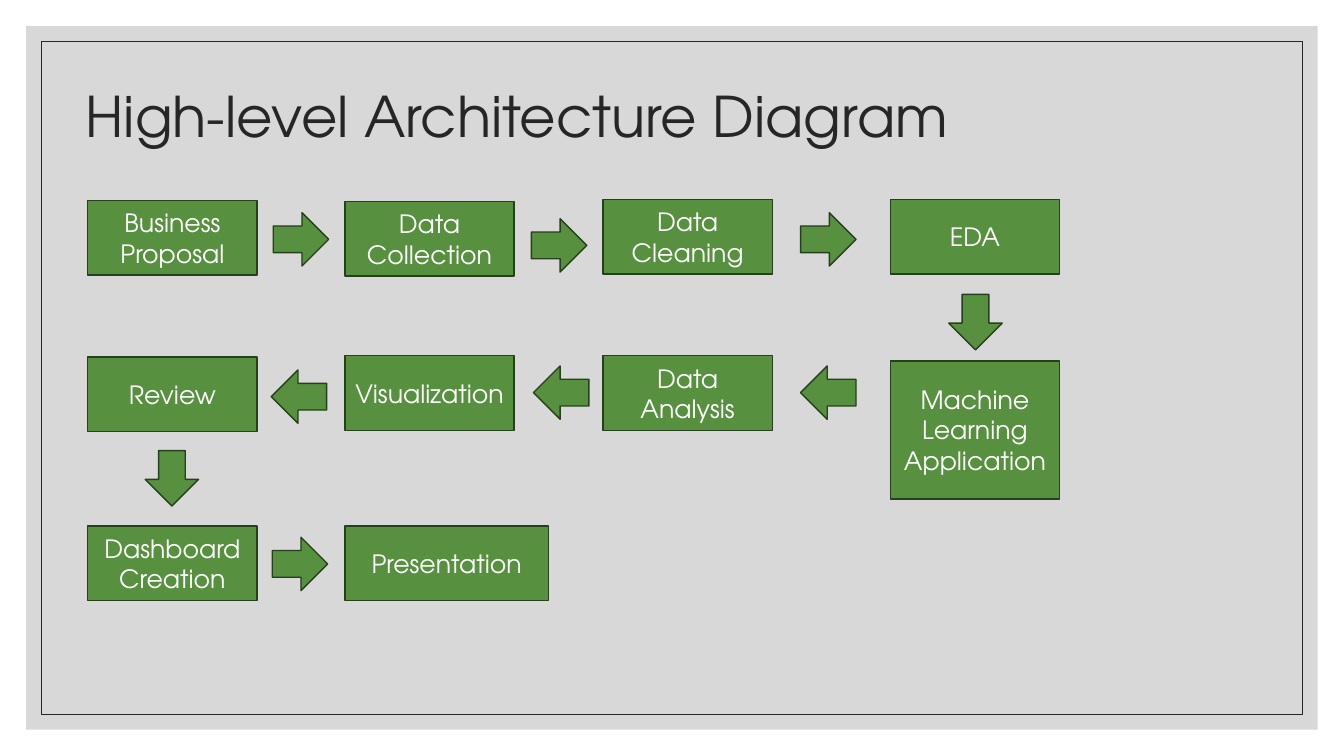
import pptx
import pptx.util
import pptx.dml.color
import pptx.enum.shapes
import pptx.enum.text
import pptx.oxml.ns
import lxml.etree

RGBColor = pptx.dml.color.RGBColor
Inches = pptx.util.Inches
Pt = pptx.util.Pt
PRESET = pptx.enum.shapes.MSO_SHAPE

PANEL_GRAY = RGBColor(0xBF, 0xBF, 0xBF)
INK = RGBColor(0x26, 0x26, 0x26)
GREEN = RGBColor(0x57, 0x90, 0x3F)
DARK_GREEN = RGBColor(0x26, 0x3F, 0x1C)
WHITE = RGBColor(0xFF, 0xFF, 0xFF)
FONT = "TeX Gyre Adventor"

SLIDE_WIDTH, SLIDE_HEIGHT = 13.33, 7.5
COLUMNS = (0, 2.55, 5.11, 7.96)
ROWS = (0, 1.55, 3.24)
STEP_WIDTH, STEP_HEIGHT = 1.68, 0.74
ARROW_WIDTH, ARROW_HEIGHT = 0.55, 0.53
RIGHT, DOWN, LEFT = 0, 90, 180

# Each step: text, column, row, drop below the row, width, height
STEPS = (
    ("Data Collection", 1, 0, 0.02, STEP_WIDTH, STEP_HEIGHT),
    ("Business Proposal", 0, 0, 0.01, STEP_WIDTH, STEP_HEIGHT),
    ("Data Cleaning", 2, 0, 0, STEP_WIDTH, STEP_HEIGHT),
    ("EDA", 3, 0, 0, STEP_WIDTH, STEP_HEIGHT),
    ("Machine Learning Application", 3, 1, 0.05, STEP_WIDTH, 1.37),
    ("Data Analysis", 2, 1, 0, STEP_WIDTH, STEP_HEIGHT),
    ("Visualization", 1, 1, 0, STEP_WIDTH, STEP_HEIGHT),
    ("Review", 0, 1, 0.01, STEP_WIDTH, STEP_HEIGHT),
    ("Dashboard Creation", 0, 2, 0, STEP_WIDTH, STEP_HEIGHT),
    ("Presentation", 1, 2, 0, 2.02, STEP_HEIGHT),
)
# Each arrow: column, row, offset from that cell's corner, direction
ARROWS = (
    (0, 0, 1.84, 0.13, RIGHT),
    (1, 0, 1.85, 0.19, RIGHT),
    (2, 0, 1.96, 0.13, RIGHT),
    (3, 0, 0.57, 0.95, DOWN),
    (2, 1, 1.96, 0.10, LEFT),
    (1, 1, 1.87, 0.10, LEFT),
    (0, 1, 1.82, 0.14, LEFT),
    (0, 1, 0.56, 0.95, DOWN),
    (0, 2, 1.83, 0.11, RIGHT),
)


def add_block(slide, preset, box, fill, line, line_width=1):
    """Add a preset shape in the box; None leaves out its fill or line."""
    block = slide.shapes.add_shape(preset, *(Inches(length) for length in box))
    block.shadow.inherit = False
    if fill is None:
        block.fill.background()
    else:
        block.fill.solid()
        block.fill.fore_color.rgb = fill
    if line is None:
        block.line.fill.background()
    else:
        block.line.color.rgb = line
        block.line.width = Pt(line_width)
    return block


def add_frame(slide, box):
    """Add the translucent panel and the thin border inside it."""
    left, top, width, height = box
    panel = add_block(slide, PRESET.RECTANGLE, box, PANEL_GRAY, None)
    qn = pptx.oxml.ns.qn
    color = panel.element.spPr.find(qn("a:solidFill")).find(qn("a:srgbClr"))
    lxml.etree.SubElement(color, qn("a:alpha"), val="60000")
    inset = 0.15
    border = (left + inset, top + inset, width - 2 * inset, height - 2 * inset)
    add_block(slide, PRESET.RECTANGLE, border, None, INK, 0.5)


def add_flow(slide, left, top):
    """Add the process steps and arrows on a grid from the given corner."""
    for text, column, row, drop, width, height in STEPS:
        box = (left + COLUMNS[column], top + ROWS[row] + drop, width, height)
        step = add_block(slide, PRESET.RECTANGLE, box, GREEN, DARK_GREEN)
        frame = step.text_frame
        frame.word_wrap = True
        frame.vertical_anchor = pptx.enum.text.MSO_ANCHOR.MIDDLE
        frame.text = text
        paragraph = frame.paragraphs[0]
        paragraph.alignment = pptx.enum.text.PP_ALIGN.CENTER
        style_font(paragraph.font, 18, WHITE)
    for column, row, across, down, direction in ARROWS:
        box = (left + COLUMNS[column] + across, top + ROWS[row] + down,
               ARROW_WIDTH, ARROW_HEIGHT)
        arrow = add_block(slide, PRESET.RIGHT_ARROW, box, GREEN, DARK_GREEN)
        arrow.rotation = direction


def style_font(font, size, color):
    """Set the typeface, size and colour."""
    font.name = FONT
    font.size = Pt(size)
    font.color.rgb = color


def place_title(slide, box):
    """Place the title in the box, in front of the frame."""
    title = slide.shapes.title
    title.left, title.top, title.width, title.height = map(Inches, box)
    frame = title.text_frame
    frame.text = "High-level Architecture Diagram"
    frame.word_wrap = True
    frame.vertical_anchor = pptx.enum.text.MSO_ANCHOR.MIDDLE
    paragraph = frame.paragraphs[0]
    paragraph.alignment = pptx.enum.text.PP_ALIGN.LEFT
    paragraph.line_spacing = 0.9
    style_font(paragraph.font, 40, INK)
    title.element.getparent().append(title.element)


def main():
    """Build and save the slide."""
    presentation = pptx.Presentation()
    presentation.slide_width = Inches(SLIDE_WIDTH)
    presentation.slide_height = Inches(SLIDE_HEIGHT)
    slide = presentation.slides.add_slide(presentation.slide_layouts[5])
    margin = 0.26
    add_frame(slide, (margin, margin, SLIDE_WIDTH - 2 * margin,
                      SLIDE_HEIGHT - 2 * margin))
    add_flow(slide, 0.87, 1.98)
    place_title(slide, (0.75, 0.43, 11, 1.5))
    presentation.save("out.pptx")


if __name__ == "__main__":
    main()
